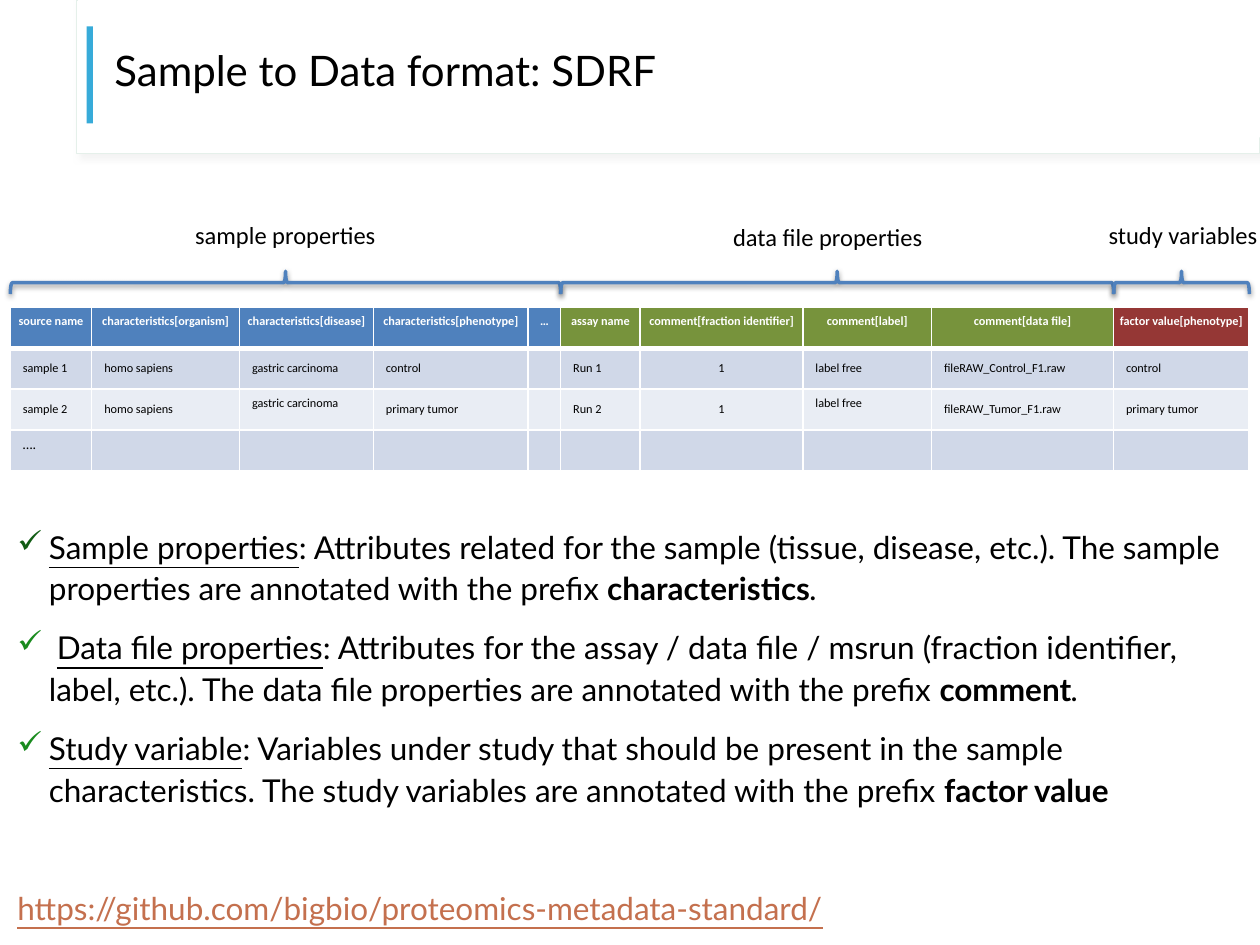
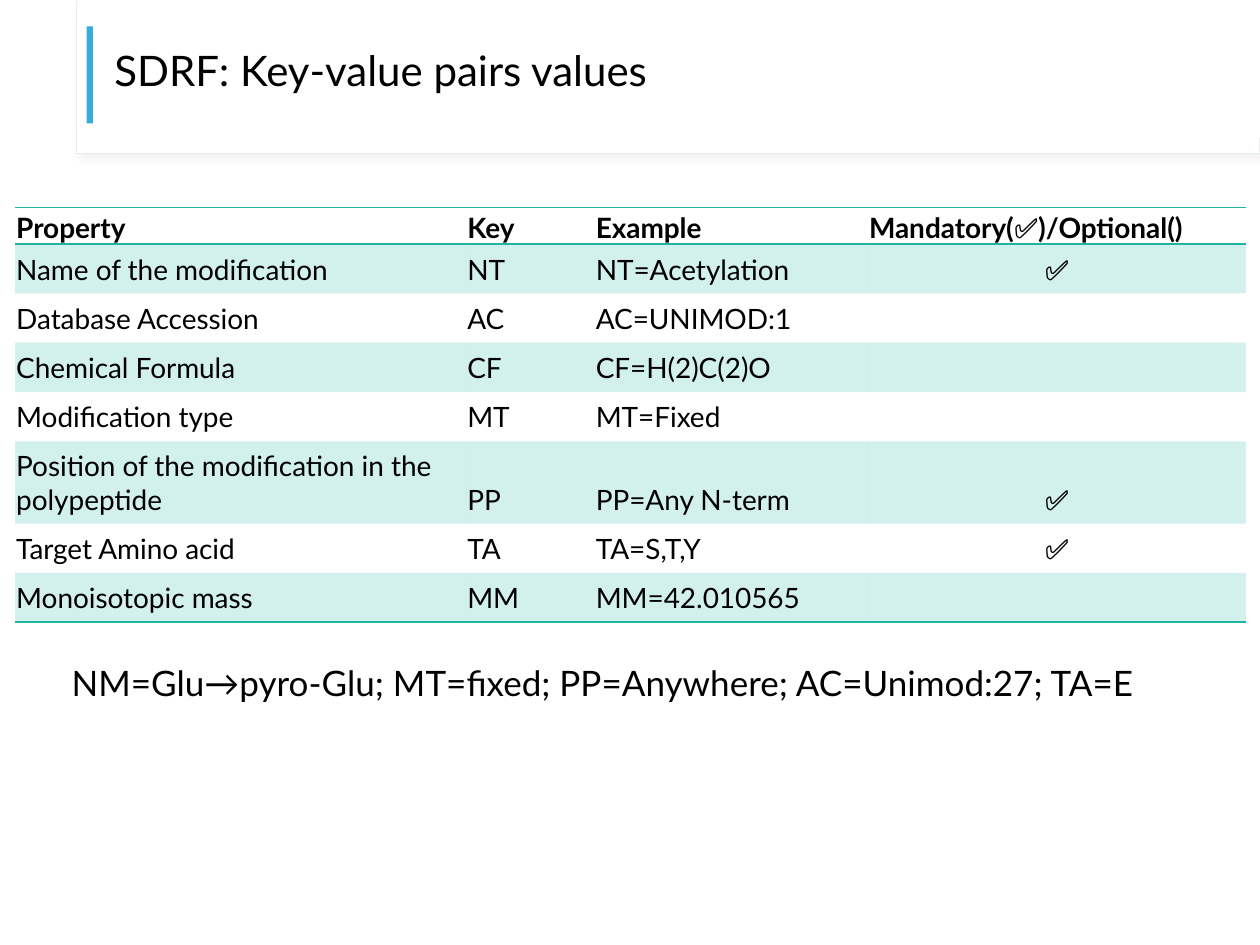
import lxml.etree
import pptx
import pptx.dml.color
import pptx.enum.shapes
import pptx.enum.text
import pptx.oxml.ns
import pptx.util

Pt = pptx.util.Pt
RGBColor = pptx.dml.color.RGBColor
SHAPE = pptx.enum.shapes.MSO_SHAPE
ALIGN = pptx.enum.text.PP_ALIGN
ANCHOR = pptx.enum.text.MSO_ANCHOR
qn = pptx.oxml.ns.qn

BLACK = RGBColor(0x00, 0x00, 0x00)
WHITE = RGBColor(0xFF, 0xFF, 0xFF)
FRAME_LINE = RGBColor(0xE5, 0xF0, 0xEA)
FRAME_SHADOW = RGBColor(0xD9, 0xD9, 0xD9)
ACCENT = RGBColor(0x37, 0xAB, 0xD9)
BLUE = RGBColor(0x4F, 0x81, 0xBD)
OLIVE = RGBColor(0x77, 0x93, 0x3C)
RED = RGBColor(0x95, 0x37, 0x35)
BAND_DARK = RGBColor(0xD0, 0xD8, 0xE8)
BAND_LIGHT = RGBColor(0xE9, 0xED, 0xF4)
TEAL = RGBColor(0x21, 0xB4, 0xA1)
DARK_GREEN = RGBColor(0x11, 0x5C, 0x14)
GREEN = RGBColor(0x19, 0x8B, 0x1E)
LINK = RGBColor(0xC4, 0x70, 0x4E)

NO_TABLE_STYLE = "{2D5ABB26-0587-4C30-8999-92F81FD0307C}"


def write(para, text, font, size, color=BLACK, **formats):
    span = para.add_run()
    span.text = text
    span.font.color.rgb = color
    for name, value in {"name": font, "size": Pt(size), **formats}.items():
        setattr(span.font, name, value)


def add_xml(parent, tag, **attributes):
    """Append an element whose attribute values may be numbers."""
    element = lxml.etree.SubElement(parent, qn(tag))
    for name, value in attributes.items():
        element.set(name, str(value))
    return element


deck = pptx.Presentation()
deck.slide_width, deck.slide_height = Pt(720), Pt(540)
blank = deck.slide_layouts[6]
sdrf_page, pairs_page = [deck.slides.add_slide(blank) for _ in range(2)]

# Frame and title shared by both slides; shadow is colour, opacity, blur, distance, angle
frame_shadow = (FRAME_SHADOW, 30, 4, 3, 45)
brace_shadow = (BLACK, 38, 3.1, 1.6, 90)
blocks = []
texts = []
for page, title in [
    (sdrf_page, "Sample to Data format: SDRF"),
    (pairs_page, "SDRF: Key-value pairs values"),
]:
    blocks += [
        (page, SHAPE.RECTANGLE, (43.9, 0, 676.1, 87.8), 0, WHITE, FRAME_LINE, 0.75, frame_shadow),
        (page, SHAPE.RECTANGLE, (44.6, 0, 675.4, 78.5), 0, WHITE, None, 0, None),
        (page, SHAPE.RECTANGLE, (49.5, 15.1, 3.6, 55.4), 0, ACCENT, None, 0, None),
    ]
    texts.append((page, title, (58.3, 13.7, 402.5, 55.4), "Lato", 24,
                  {"line_spacing": 0.9}, ANCHOR.MIDDLE))

# Braces span the column groups of the SDRF table
sdrf_left = 5.9
sdrf_columns = [46.5, 84.5, 76.5, 88.5, 18.5, 45.5, 93, 73.5, 104, 77.5]
brace_depth, brace_middle = 13, 161.5
groups = [
    ("sample properties", 5, BLUE, (104.4, 122.4, 125), ALIGN.LEFT),
    ("data file properties", 4, OLIVE, (411.8, 123.1, 135.4), ALIGN.LEFT),
    ("study variables", 1, RED, (613.4, 122.4, 125.3), ALIGN.CENTER),
]
header_fills = []
group_left = sdrf_left
for label, count, color, place, alignment in groups:
    first = len(header_fills)
    span_width = sum(sdrf_columns[first:first + count])
    header_fills += [color] * count
    center = group_left + span_width / 2
    # A left brace turned by 90 degrees: its height runs across the columns
    area = (center - brace_depth / 2, brace_middle - span_width / 2, brace_depth, span_width)
    blocks.append((sdrf_page, SHAPE.LEFT_BRACE, area, 90, None, BLUE, 2, brace_shadow))
    texts.append((sdrf_page, label, (*place, 24.5), "Calibri", 14,
                  {"alignment": alignment}, ANCHOR.TOP))
    group_left += span_width

texts.append((pairs_page, "NM=Glu→pyro-Glu; MT=fixed; PP=Anywhere; AC=Unimod:27; TA=E",
              (33.8, 374.4, 656.6, 31.7), "Lato", 20, {}, ANCHOR.TOP))

for page, kind, area, rotation, fill, line, line_width, shadow in blocks:
    block = page.shapes.add_shape(kind, *map(Pt, area))
    block.rotation = rotation
    block.shadow.inherit = False
    if fill is None:
        block.fill.background()
    else:
        block.fill.solid()
        block.fill.fore_color.rgb = fill
    if line is None:
        block.line.fill.background()
    else:
        block.line.color.rgb = line
        block.line.width = Pt(line_width)
    if shadow:
        color, opacity, blur, distance, angle = shadow
        effects = block._element.spPr.find(qn("a:effectLst"))
        outer = add_xml(effects, "a:outerShdw", blurRad=Pt(blur), dist=Pt(distance),
                        dir=angle * 60000, algn="ctr", rotWithShape=0)
        add_xml(add_xml(outer, "a:srgbClr", val=color), "a:alpha", val=opacity * 1000)

for page, text, area, font, size, formats, anchor in texts:
    box = page.shapes.add_textbox(*map(Pt, area))
    box.text_frame.word_wrap = True
    box.text_frame.vertical_anchor = anchor
    para = box.text_frame.paragraphs[0]
    for name, value in formats.items():
        setattr(para, name, value)
    write(para, text, font, size)

# Tables
sdrf_rows = [
    ["source name", "characteristics[organism]", "characteristics[disease]",
     "characteristics[phenotype]", "…", "assay name", "comment[fraction identifier]",
     "comment[label]", "comment[data file]", "factor value[phenotype]"],
    ["sample 1", "homo sapiens", "gastric carcinoma", "control", "", "Run 1", "1",
     "label free", "fileRAW_Control_F1.raw", "control"],
    ["sample 2", "homo sapiens", "gastric carcinoma", "primary tumor", "", "Run 2", "1",
     "label free", "fileRAW_Tumor_F1.raw", "primary tumor"],
    ["…."] + [""] * 9,
]
pairs_rows = [
    ["Property", "Key", "Example", "Mandatory(✅)/Optional()"],
    ["Name of the modification", "NT", "NT=Acetylation", "✅"],
    ["Database Accession", "AC", "AC=UNIMOD:1", ""],
    ["Chemical Formula", "CF", "CF=H(2)C(2)O", ""],
    ["Modification type", "MT", "MT=Fixed", ""],
    ["Position of the modification in the polypeptide", "PP", "PP=Any N-term", "✅"],
    ["Target Amino acid", "TA", "TA=S,T,Y", "✅"],
    ["Monoisotopic mass", "MM", "MM=42.010565", ""],
]
for page, rows, left, top, columns, heights in [
    (sdrf_page, sdrf_rows, sdrf_left, 175.6, sdrf_columns, [23.4] * 4),
    (pairs_page, pairs_rows, 8.6, 118.6, [257.8, 73.4, 156.2, 216],
     [20.9] + [28.2] * 4 + [46.9] + [28.2] * 2),
]:
    is_sdrf = page is sdrf_page
    frame = page.shapes.add_table(len(rows), len(columns), Pt(left), Pt(top),
                                  Pt(sum(columns)), Pt(sum(heights)))
    table = frame.table
    table.first_row = table.horz_banding = False
    table._tbl.tblPr.find(qn("a:tableStyleId")).text = NO_TABLE_STYLE
    for column, width in zip(table.columns, columns):
        column.width = Pt(width)
    for row, height in zip(table.rows, heights):
        row.height = Pt(height)

    for row, values in enumerate(rows):
        for column, text in enumerate(values):
            cell = table.cell(row, column)
            header = row == 0
            alignment, opacity = ALIGN.LEFT, 100
            if is_sdrf:
                font, size = "Calibri", 8 if text == "…." else 7
                color = WHITE if header else BLACK
                fill = header_fills[column] if header else (BAND_LIGHT, BAND_DARK)[row % 2]
                anchor = ANCHOR.MIDDLE if row in (1, 2) else ANCHOR.TOP
                side, above, below = (2.9 if header else 7.2), 3.6, 3.6
                if row == 2 and text in ("gastric carcinoma", "label free"):
                    below = 11
                if header or column == 6:
                    alignment = ALIGN.CENTER
                border = WHITE
                borders = {"L": 1, "R": 1, "T": 3 if row == 1 else 1, "B": 3 if header else 1}
            else:
                font, size, color = "Lato", 16, BLACK
                fill, opacity = (TEAL if row % 2 else None), 20
                anchor = ANCHOR.BOTTOM
                side, above, below = (0.7, 0.7, 0) if header else (0.7, 4.3, 4.3)
                if column == 3 and not header:
                    alignment = ALIGN.CENTER
                border = TEAL
                borders = {"T": 1, "B": 1} if header else {"B": 1} if row == len(rows) - 1 else {}

            for name, value in {"margin_left": Pt(side), "margin_right": Pt(side),
                                "margin_top": Pt(above), "margin_bottom": Pt(below),
                                "vertical_anchor": anchor}.items():
                setattr(cell, name, value)
            para = cell.text_frame.paragraphs[0]
            para.alignment = alignment
            if text:
                write(para, text, font, size, color, bold=header)
            else:
                add_xml(para._p, "a:endParaRPr", sz=size * 100)

            properties = cell._tc.get_or_add_tcPr()
            for edge, width in borders.items():
                line = add_xml(properties, f"a:ln{edge}", w=Pt(width))
                add_xml(add_xml(line, "a:solidFill"), "a:srgbClr", val=border)
            if fill is None:
                cell.fill.background()
            else:
                cell.fill.solid()
                cell.fill.fore_color.rgb = fill
                if opacity < 100:
                    tint = properties.find(qn("a:solidFill")).find(qn("a:srgbClr"))
                    add_xml(tint, "a:alpha", val=opacity * 1000)

# Explanation of the property groups
plain, underlined = {}, {"underline": True}
bold, italic = {"bold": True}, {"italic": True}
explanations = [
    (DARK_GREEN, 0, [
        ("Sample properties", underlined),
        (": Attributes related for the sample (tissue, disease, etc.). The sample properties "
         "are annotated with the prefix", plain),
        (" characteristics", bold), (".", italic)]),
    (GREEN, 10, [
        (" ", plain), ("Data file properties", underlined),
        (": Attributes for the assay / data file / msrun (fraction identifier, label, etc.). "
         "The data file properties are annotated with the prefix ", plain),
        ("comment", bold), (".", italic)]),
    (GREEN, 10, [
        ("Study variable", underlined),
        (": Variables under study that should be present in the sample characteristics. "
         "The study variables are annotated with the prefix ", plain),
        ("factor value", bold)]),
    (None, 43.7, [
        ("https://github.com/bigbio/proteomics-metadata-standard/",
         {"color": LINK, "underline": True})]),
]
box = sdrf_page.shapes.add_textbox(Pt(2.9), Pt(295.9), Pt(708.5), Pt(197.3))
box.text_frame.word_wrap = True
for index, (bullet_color, space, spans) in enumerate(explanations):
    para = box.text_frame.paragraphs[0] if index == 0 else box.text_frame.add_paragraph()
    para.line_spacing = 1.1
    para.space_before = Pt(space)
    if bullet_color:
        properties = para._p.get_or_add_pPr()
        properties.set("marL", str(Pt(18)))
        properties.set("indent", str(-Pt(18)))
        add_xml(add_xml(properties, "a:buClr"), "a:srgbClr", val=bullet_color)
        add_xml(properties, "a:buChar", char="✓")
    for text, formats in spans:
        write(para, text, "Lato", 18, **formats)

deck.save("out.pptx")
